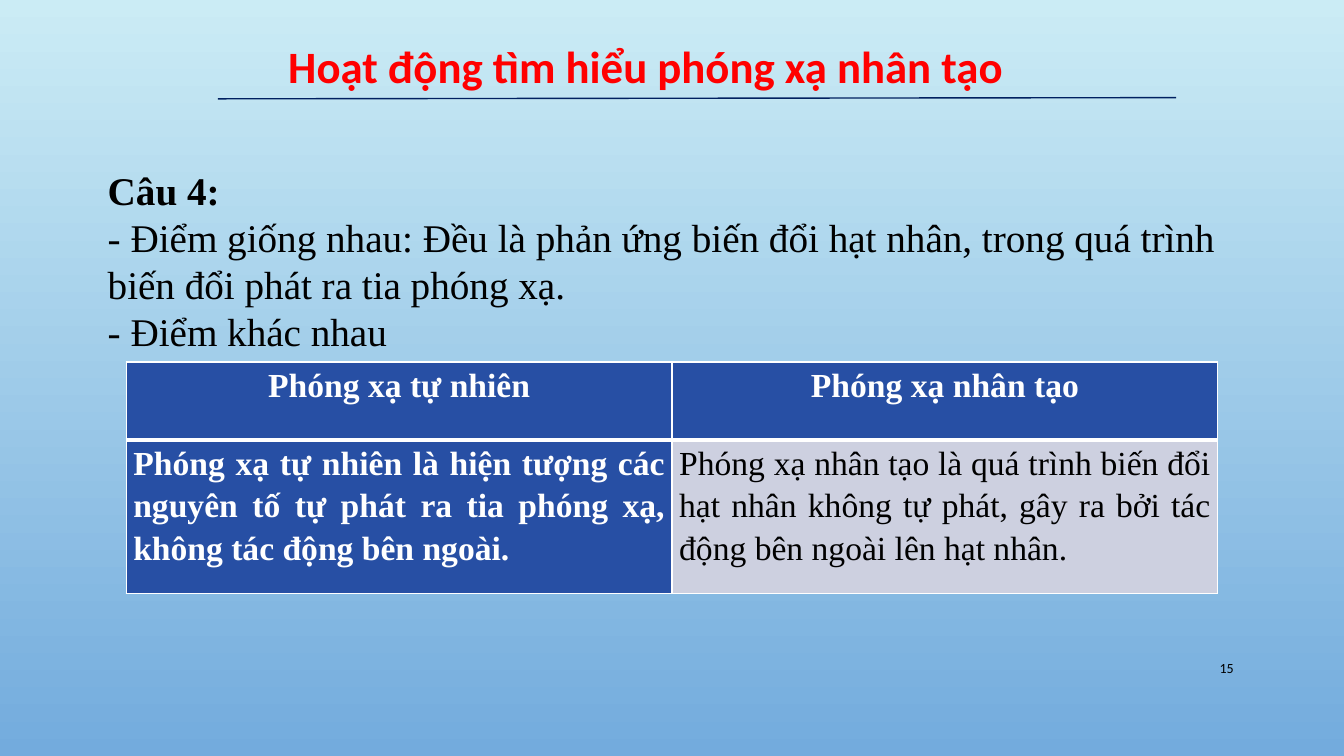
from lxml.etree import SubElement
from pptx import Presentation
from pptx.dml.color import RGBColor
from pptx.enum.shapes import MSO_CONNECTOR as Connector
from pptx.enum.text import MSO_ANCHOR as Anchor, MSO_AUTO_SIZE as AutoSize, PP_ALIGN as Align
from pptx.oxml.ns import qn
from pptx.util import Cm, Pt

TITLE = "Hoạt động tìm hiểu phóng xạ nhân tạo"
ANSWER = [
    "Câu 4:",
    "- Điểm giống nhau: Đều là phản ứng biến đổi hạt nhân, trong quá trình biến đổi phát ra tia phóng xạ.",
    "- Điểm khác nhau",
]
COMPARISON = [
    ("Phóng xạ tự nhiên", "Phóng xạ nhân tạo"),
    (
        "Phóng xạ tự nhiên là hiện tượng các nguyên tố tự phát ra tia phóng xạ, không tác động bên ngoài.",
        "Phóng xạ nhân tạo là quá trình biến đổi hạt nhân không tự phát, gây ra bởi tác động bên ngoài lên hạt nhân.",
    ),
]
PAGE_NUMBER = "15"

SERIF, SANS = "Times New Roman", "Calibri"
SKY = ("CBECF5", "73ABDD")
RED, NAVY, BLACK, WHITE = "FF0000", "002060", "000000", "FFFFFF"
BLUE, PALE = "274FA4", "CDD0E0"

TITLE_AREA = (7.01, 0.84, 21.62, 1.63)
ANSWER_AREA = (2.46, 4.06, 28.6, 5.05)
NUMBER_AREA = (29.21, 16.33, 2.13, 1.02)
TABLE_AREA = (3.18, 9.12, 27.51, 5.84)
ROW_HEIGHTS = (1.96, 3.88)
RULE = (5.49, 2.49, 29.64, 2.46)


def lengths(values):
    return [Cm(value) for value in values]


def paint(color_format, color):
    color_format.rgb = RGBColor.from_string(color)


def style(para, name, size, color, bold=False, align=Align.LEFT):
    para.alignment = align
    font = para.font
    font.name, font.size, font.bold = name, Pt(size), bold
    paint(font.color, color)


def place(box, area, anchor=Anchor.TOP):
    box.left, box.top, box.width, box.height = lengths(area)
    frame = box.text_frame
    frame.word_wrap = True
    frame.auto_size = AutoSize.NONE
    frame.vertical_anchor = anchor
    return frame


def add_borders(cell, bottom):
    """Draw white cell edges; the bottom one has its own width in points."""
    properties = cell._tc.get_or_add_tcPr()
    for index, (side, width) in enumerate((("L", 1), ("R", 1), ("T", 1), ("B", bottom))):
        edge = SubElement(properties, qn(f"a:ln{side}"), w=str(Pt(width)))
        fill = SubElement(edge, qn("a:solidFill"))
        SubElement(fill, qn("a:srgbClr"), val=WHITE)
        properties.insert(index, edge)


def add_comparison(page):
    rows, columns = len(COMPARISON), len(COMPARISON[0])
    table = page.shapes.add_table(rows, columns, *lengths(TABLE_AREA)).table
    for row, height in zip(table.rows, ROW_HEIGHTS):
        row.height = Cm(height)
    for r, texts in enumerate(COMPARISON):
        for c, text in enumerate(texts):
            header = r == 0
            strong = header or c == 0
            cell = table.cell(r, c)
            cell.text = text
            cell.margin_left = cell.margin_right = Cm(0.18)
            cell.margin_top = cell.margin_bottom = 0
            cell.fill.solid()
            paint(cell.fill.fore_color, BLUE if strong else PALE)
            add_borders(cell, bottom=3 if header else 1)
            para = cell.text_frame.paragraphs[0]
            para.line_spacing = 1.15
            style(para, SERIF, 24, WHITE if strong else BLACK, strong,
                  Align.CENTER if header else Align.JUSTIFY)


def main():
    deck = Presentation()
    deck.slide_width, deck.slide_height = Cm(33.87), Cm(19.05)
    page = deck.slides.add_slide(deck.slide_layouts[1])
    for spare in list(page.placeholders)[2:]:
        spare.element.getparent().remove(spare.element)

    sky = page.background.fill
    sky.gradient()
    sky.gradient_angle = 270
    for stop, position, color in zip(sky.gradient_stops, (0, 1), SKY):
        stop.position = position
        paint(stop.color, color)

    rule = page.shapes.add_connector(Connector.STRAIGHT, *lengths(RULE))
    rule.line.width = Pt(1)
    paint(rule.line.color, NAVY)
    SubElement(rule._element.spPr, qn("a:effectLst"))

    title = place(page.shapes.title, TITLE_AREA)
    title.text = TITLE
    style(title.paragraphs[0], SANS, 32, RED, True)

    answer = place(page.placeholders[1], ANSWER_AREA)
    answer.text = "\n".join(ANSWER)
    for index, para in enumerate(answer.paragraphs):
        properties = para._p.get_or_add_pPr()
        properties.set("marL", "0")
        properties.set("indent", "0")
        SubElement(properties, qn("a:buNone"))
        para.space_before = Pt(0)
        style(para, SERIF, 28, BLACK, index == 0)

    number_box = page.shapes.add_textbox(*lengths(NUMBER_AREA))
    number = place(number_box, NUMBER_AREA, Anchor.MIDDLE)
    number.text = PAGE_NUMBER
    style(number.paragraphs[0], SANS, 10, BLACK, align=Align.RIGHT)

    add_comparison(page)
    deck.save("out.pptx")


if __name__ == "__main__":
    main()
